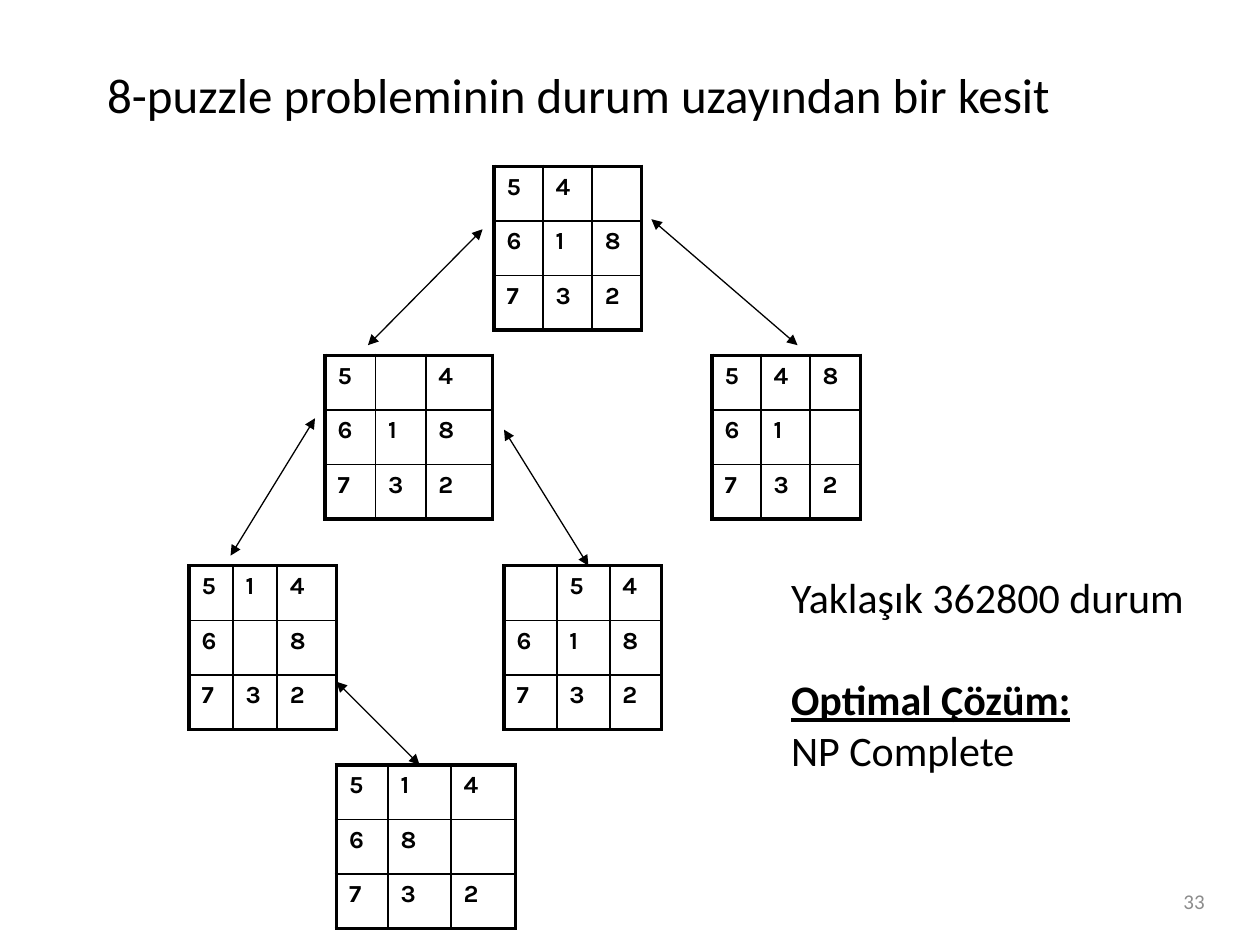
from lxml import etree
from pptx import Presentation
from pptx import util as u
from pptx.dml.color import RGBColor
from pptx.enum import shapes, text
from pptx.oxml import ns

INK = {"main": "000000", "page": "8C8C8C"}
TITLE = "8-puzzle probleminin durum uzayından bir kesit"
PAGE = "33"
# Notes: text, bold and underlined, space before in points
NOTES = [
    ("Yaklaşık 362800 durum", False, 0),
    ("Optimal Çözüm:", True, 29.3),
    ("NP Complete", False, 0),
]
# Boards: left, top, column widths, rows of tiles (0 is the gap)
BOARDS = [
    (3.92, 1.32, (0.39, 0.39, 0.39), ("540", "618", "732")),
    (2.58, 2.82, (0.4, 0.4, 0.53), ("504", "618", "732")),
    (5.65, 2.82, (0.39, 0.39, 0.4), ("548", "610", "732")),
    (1.5, 4.49, (0.35, 0.35, 0.47), ("514", "608", "732")),
    (2.67, 6.07, (0.41, 0.5, 0.51), ("514", "680", "732")),
    (4, 4.49, (0.42, 0.42, 0.41), ("054", "618", "732")),
]
ROW = 1.3 / 3
# Moves: from x, y to x, y
MOVES = [
    (3.83, 1.82, 2.92, 2.74),
    (5.17, 1.74, 6.33, 2.74),
    (2.5, 3.32, 1.83, 4.41),
    (4, 3.41, 4.67, 4.49),
    (2.67, 5.41, 3.33, 6.07),
]
THIN, THICK = 1, 2.25


def color(name):
    """Look up a colour."""
    return RGBColor.from_string(INK[name])


def style(para, size, face="Calibri", ink="main", bold=False):
    """Set the font of a paragraph."""
    font = para.font
    font.size, font.name, font.bold = u.Pt(size), face, bold
    font.color.rgb = color(ink)


def place(shape, *box):
    """Put a shape at left, top, width, height."""
    shape.left, shape.top, shape.width, shape.height = map(u.Inches, box)


def child(node, tag, **attrs):
    """Add a drawing element."""
    return etree.SubElement(node, ns.qn("a:" + tag), **attrs)


def edge(cell, side, width):
    """Draw one border of a cell."""
    line = child(cell._tc.get_or_add_tcPr(), "ln" + side, w=str(u.Pt(width)))
    child(child(line, "solidFill"), "srgbClr", val=INK["main"])


def board(slide, left, top, widths, rows):
    """Draw one state of the puzzle."""
    size = len(rows)
    frame = slide.shapes.add_table(
        size, size, u.Inches(left), u.Inches(top),
        u.Inches(sum(widths)), u.Inches(ROW * size))
    grid = frame.table
    grid.first_row = grid.horz_banding = False
    for col, width in zip(grid.columns, widths):
        col.width = u.Inches(width)
    for r, row in enumerate(rows):
        grid.rows[r].height = u.Inches(ROW)
        for c, tile in enumerate(row):
            cell = grid.cell(r, c)
            outer = {"L": c == 0, "R": c == size - 1,
                     "T": r == 0, "B": r == size - 1}
            for side, rim in outer.items():
                edge(cell, side, THICK if rim else THIN)
            cell.fill.background()
            if tile != "0":
                cell.text = tile
                style(cell.text_frame.paragraphs[0], 14, "Karla", bold=True)


def move(slide, *ends):
    """Draw a two-way arrow between states."""
    line = slide.shapes.add_connector(
        shapes.MSO_CONNECTOR.STRAIGHT, *map(u.Inches, ends))
    line.line.width = u.Pt(0.75)
    line.line.color.rgb = color("main")
    for tag in ("headEnd", "tailEnd"):
        child(line.line._get_or_add_ln(), tag, type="triangle")
    child(line._element.spPr, "effectLst")


def box(slide, *area):
    """Add a wrapping text box and return its text frame."""
    frame = slide.shapes.add_textbox(*map(u.Inches, area)).text_frame
    frame.word_wrap = True
    return frame


deck = Presentation()
deck.slide_width, deck.slide_height = u.Inches(10), u.Inches(7.5)
slide = deck.slides.add_slide(deck.slide_layouts[5])

title = slide.shapes.title
place(title, 0.75, 0.33, 8.5, 0.7)
frame = title.text_frame
frame.text = TITLE
frame.auto_size = text.MSO_AUTO_SIZE.NONE
frame.vertical_anchor = text.MSO_ANCHOR.BOTTOM
frame.paragraphs[0].alignment = text.PP_ALIGN.LEFT
style(frame.paragraphs[0], 28)

for state in BOARDS:
    board(slide, *state)
for ends in MOVES:
    move(slide, *ends)

notes = box(slide, 6.18, 4.49, 3.59, 1.72)
for i, (words, strong, gap) in enumerate(NOTES):
    para = notes.add_paragraph() if i else notes.paragraphs[0]
    para.text = words
    para.space_before = u.Pt(gap)
    style(para, 24, bold=strong)
    para.font.underline = strong

page = box(slide, 7.33, 6.95, 2.33, 0.4)
page.text = PAGE
page.vertical_anchor = text.MSO_ANCHOR.MIDDLE
page.paragraphs[0].alignment = text.PP_ALIGN.RIGHT
style(page.paragraphs[0], 12, ink="page")

deck.save("out.pptx")
